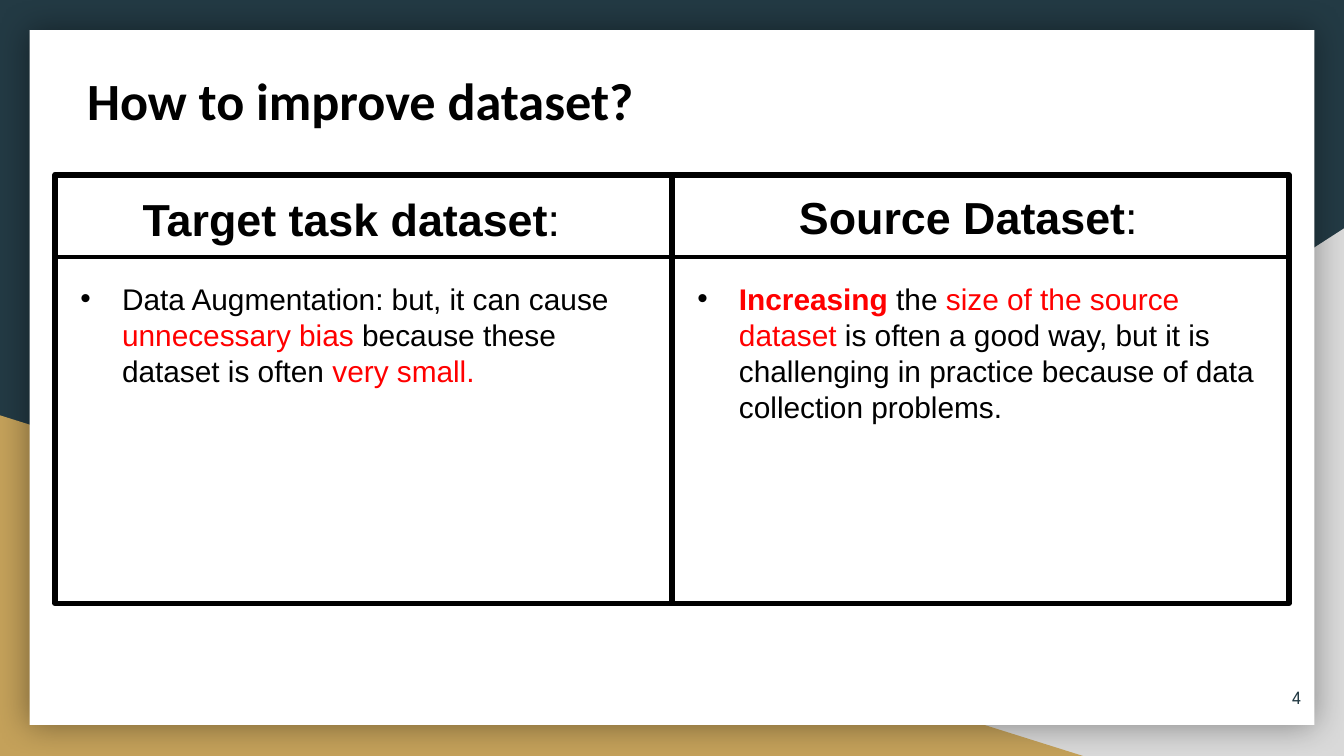
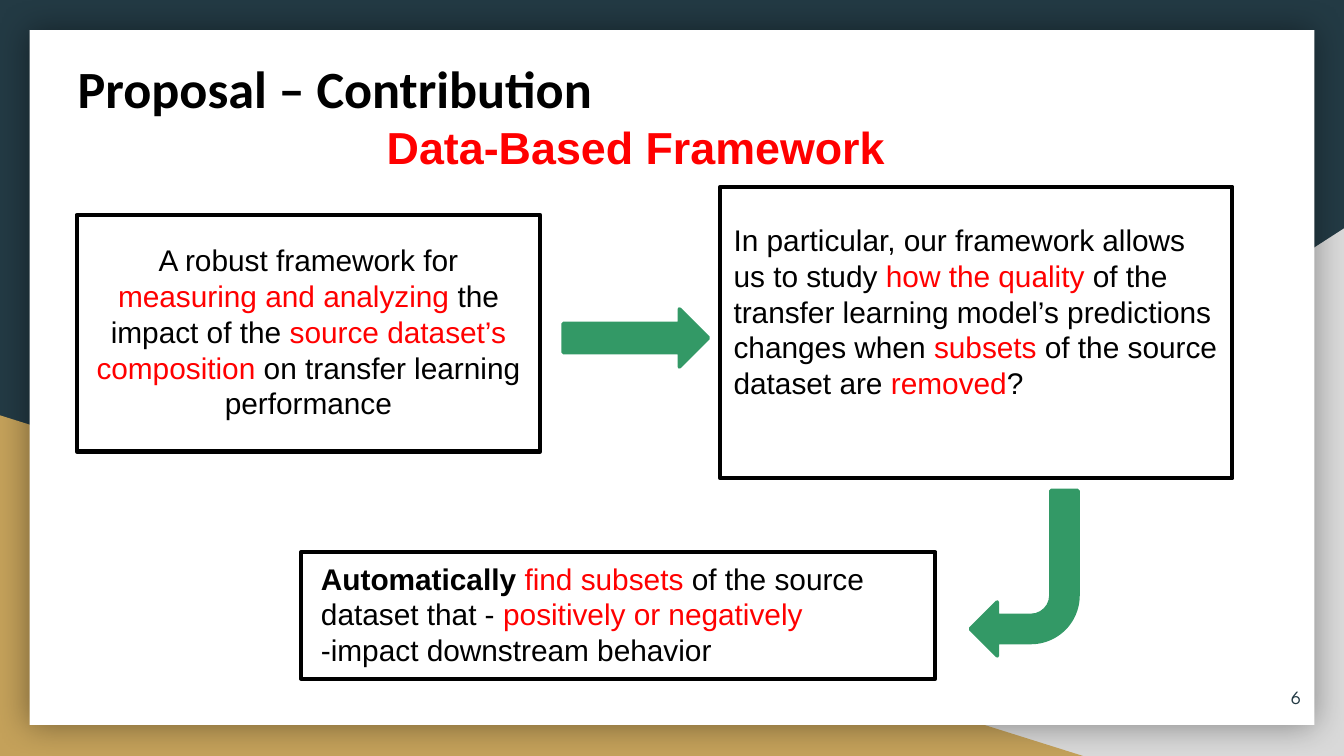
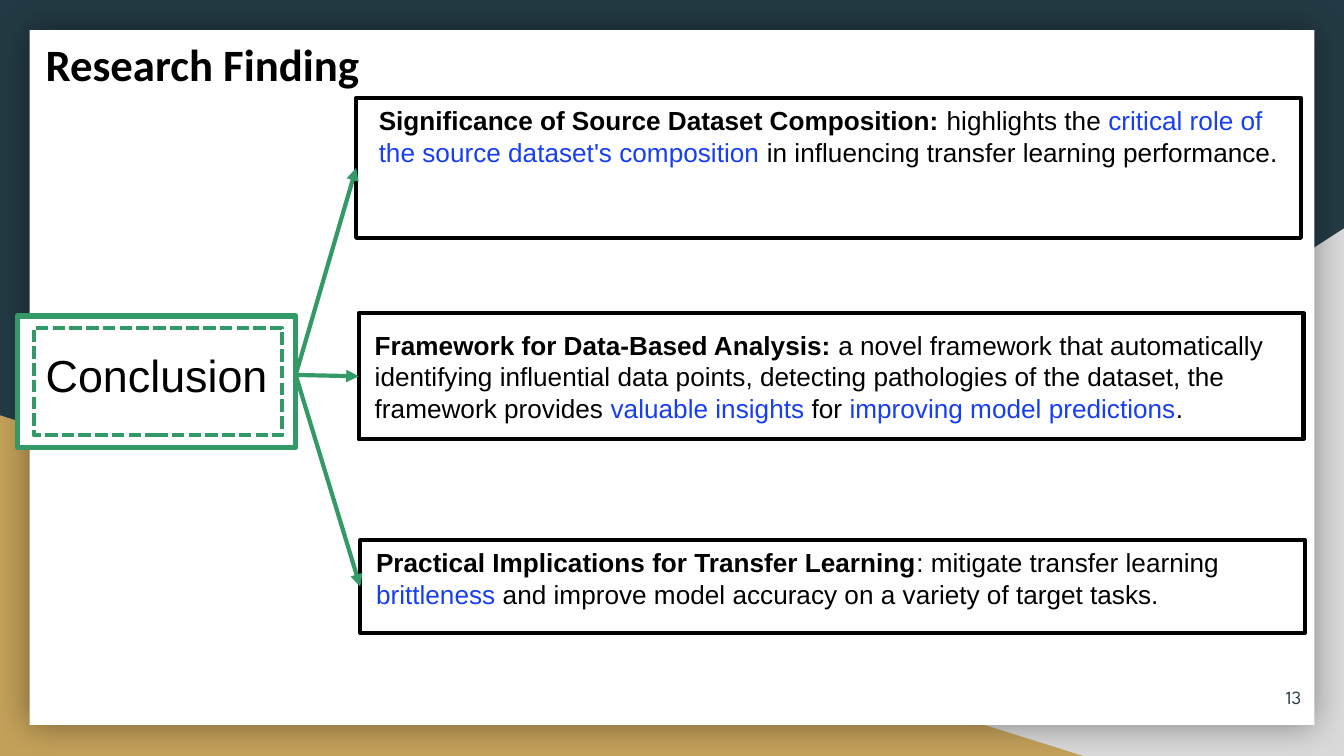
"""Build three slides on improving datasets for transfer learning."""
from dataclasses import dataclass

from lxml.etree import SubElement
from pptx import Presentation
from pptx.dml.color import RGBColor
from pptx.enum.dml import MSO_LINE
from pptx.enum.shapes import MSO_CONNECTOR, MSO_SHAPE
from pptx.enum.text import MSO_ANCHOR, MSO_AUTO_SIZE, PP_ALIGN
from pptx.oxml.ns import qn
from pptx.util import Emu, Inches, Pt


@dataclass(frozen=True)
class Theme:
    """Colours, fonts, type sizes and line widths of the deck."""
    navy: str = "233A44"
    gold: str = "C4A15A"
    grey: str = "D9D9D9"
    paper: str = "FFFFFF"
    ink: str = "000000"
    red: str = "FF0000"
    blue: str = "163EF5"
    green: str = "339966"
    body_font: str = "Arial"
    title_font: str = "Calibri"
    number_font: str = "League Spartan"
    title: int = 28
    heading: int = 24
    body: int = 16
    finding: int = 14
    number: int = 10
    thick: float = 3
    medium: float = 2.25
    thin: float = 2


@dataclass(frozen=True)
class Run:
    """A piece of text with its own colour and weight."""
    text: str
    color: str = Theme.ink
    bold: bool = False


WIDTH, HEIGHT = Inches(10), Inches(5.625)
COLUMNS = 100
CELL = WIDTH / COLUMNS
LEFT, CENTER, RIGHT = PP_ALIGN.LEFT, PP_ALIGN.CENTER, PP_ALIGN.RIGHT


def red(text, bold=False):
    """Return a run in the warning colour."""
    return Run(text, Theme.red, bold)


def blue(text):
    """Return a run in the highlight colour."""
    return Run(text, Theme.blue)


def strong(text):
    """Return a bold run."""
    return Run(text, bold=True)


def rgb(color):
    """Turn a hex string into a colour."""
    return RGBColor.from_string(color)


def place(*cells):
    """Turn grid columns and rows into lengths."""
    return [Emu(round(cell * CELL)) for cell in cells]


def add_block(shapes, area, kind=MSO_SHAPE.RECTANGLE, fill=Theme.paper,
              line=None, width=Theme.medium):
    """Add a filled preset shape with an optional outline."""
    block = shapes.add_shape(kind, *place(*area))
    block.shadow.inherit = False
    block.fill.solid()
    block.fill.fore_color.rgb = rgb(fill)
    if line:
        block.line.color.rgb = rgb(line)
        block.line.width = Pt(width)
    else:
        block.line.fill.background()
    return block


def add_bullet(properties):
    """Give a paragraph a hanging black bullet."""
    properties.set("marL", str(Inches(0.31)))
    properties.set("indent", str(-Inches(0.31)))
    color = SubElement(properties, qn("a:buClr"))
    SubElement(color, qn("a:srgbClr"), val=Theme.ink)
    SubElement(properties, qn("a:buFont"), typeface=Theme.body_font)
    SubElement(properties, qn("a:buChar"), char="•")


def add_text(shapes, area, *paragraphs, size=Theme.body, font=Theme.body_font,
             align=LEFT, bullet=False, grow=True):
    """Add a wrapping text box with one list of runs per paragraph."""
    label = shapes.add_textbox(*place(*area))
    frame = label.text_frame
    frame.word_wrap = True
    frame.auto_size = MSO_AUTO_SIZE.SHAPE_TO_FIT_TEXT if grow else MSO_AUTO_SIZE.NONE
    for index, runs in enumerate(paragraphs):
        paragraph = frame.add_paragraph() if index else frame.paragraphs[0]
        paragraph.alignment = align
        if bullet:
            add_bullet(paragraph._p.get_or_add_pPr())
        base = runs[0] if len(runs) == 1 else Run("")
        paragraph.font.name = font
        paragraph.font.size = Pt(size)
        paragraph.font.color.rgb = rgb(base.color)
        paragraph.font.bold = base.bold
        for part in runs:
            run = paragraph.add_run()
            run.text = part.text
            if part.color != base.color:
                run.font.color.rgb = rgb(part.color)
            if part.bold != base.bold:
                run.font.bold = part.bold
    return label


def add_line(shapes, start, end, color, arrow=False):
    """Add a straight line, with an arrowhead at its end if asked."""
    line = shapes.add_connector(MSO_CONNECTOR.STRAIGHT, *place(*start, *end))
    line.line.color.rgb = rgb(color)
    line.line.width = Pt(Theme.medium)
    if arrow:
        SubElement(line.line._get_or_add_ln(), qn("a:tailEnd"), type="triangle")
    SubElement(line._element.spPr, qn("a:effectLst"))
    return line


def add_soft_shadow(block):
    """Put an even blurred shadow around a shape."""
    effects = block._element.spPr.find(qn("a:effectLst"))
    shadow = SubElement(effects, qn("a:outerShdw"), blurRad=str(Pt(18)),
                        dist="0", dir="0", algn="ctr", rotWithShape="0")
    color = SubElement(shadow, qn("a:srgbClr"), val=Theme.ink)
    SubElement(color, qn("a:alpha"), val="40000")


def add_page(deck, number, title, title_area, title_size=Theme.title):
    """Add a slide with the backdrop, title and number, and return its shapes."""
    slide = deck.slides.add_slide(deck.slide_layouts[6])
    slide.background.fill.solid()
    slide.background.fill.fore_color.rgb = rgb(Theme.navy)
    shapes = slide.shapes
    corner = add_block(shapes, (39.2, 17, 60.8, 39.25), MSO_SHAPE.RIGHT_TRIANGLE, Theme.grey)
    corner._element.spPr.xfrm.set("flipH", "1")
    add_block(shapes, (0, 30.9, 80.6, 25.35), MSO_SHAPE.RIGHT_TRIANGLE, Theme.gold)
    add_soft_shadow(add_block(shapes, (2.2, 2.25, 95.6, 51.7)))

    heading = add_text(shapes, title_area, [strong(title)], size=title_size,
                       font=Theme.title_font)
    heading.text_frame.paragraphs[0]._p.get_or_add_pPr().set("marL", str(Inches(0.14)))
    folio = add_text(shapes, (91.8, 49.7, 6, 4.3), [Run(str(number), Theme.navy)],
                     size=Theme.number, font=Theme.number_font, align=RIGHT, grow=False)
    folio.text_frame.vertical_anchor = MSO_ANCHOR.MIDDLE
    for label in (heading, folio):
        label.text_frame.margin_top = label.text_frame.margin_bottom = Inches(0.1)
    return shapes


def add_panel(shapes, frame_area, text_area, *paragraphs, align=LEFT):
    """Add a group of an outlined frame and its text."""
    panel = shapes.add_group_shape().shapes
    add_block(panel, frame_area, line=Theme.ink)
    add_text(panel, text_area, *paragraphs, align=align)


def add_dataset_slide(deck):
    """Compare ways to improve the target and the source dataset."""
    shapes = add_page(deck, 4, "How to improve dataset?", (4.1, 4.1, 45, 6.7))
    left, top, column = 4.1, 13, 45.9
    datasets = [
        ("Target task dataset", 13.8, 9.1,
         [Run("Data Augmentation: but, it can cause "), red("unnecessary bias"),
          Run(" because these dataset is often "), red("very small.")]),
        ("Source Dataset", 13.6, 11.8,
         [red("Increasing", bold=True), Run(" the "), red("size of the source dataset "),
          Run("is often a good way, but it is challenging in practice "
              "because of data collection problems.")]),
    ]
    for index, (name, name_top, advice_height, advice) in enumerate(datasets):
        x = left + index * column
        add_block(shapes, (x, top, column, 31.9), line=Theme.ink, width=Theme.thick)
        heading = add_text(shapes, (x, name_top, column, 5), [strong(name), Run(":")],
                           size=Theme.heading, align=CENTER)
        heading.text_frame.margin_right = Inches(0.28)
        add_text(shapes, (x + 0.9, 20.4, column - 1.8, advice_height), advice, bullet=True)
    add_line(shapes, (left, 19.1), (left + 2 * column, 19.1), Theme.ink)


def add_proposal_slide(deck):
    """Show the three steps of the framework."""
    shapes = add_page(deck, 6, "Proposal – Contribution", (3.4, 3.2, 46.6, 6.7))
    add_text(shapes, (25.1, 8.4, 44.4, 5), [red("Data-Based Framework", bold=True)],
             size=Theme.heading, align=CENTER)
    add_panel(shapes, (5.7, 16, 34.5, 17.6), (5.7, 17.5, 34.5, 14.5),
              [Run("A robust framework for "), red("measuring and analyzing "),
               Run("the impact of the "), red("source dataset’s composition"),
               Run(" on transfer learning performance")], align=CENTER)
    add_panel(shapes, (53.6, 13.9, 38.1, 21.7), (53.6, 16, 38.9, 14.5),
              [Run("In particular, our framework allows")],
              [Run("us to study "), red("how the quality"),
               Run(" of the transfer learning model’s predictions changes when "),
               red("subsets"), Run(" of the source dataset are "), red("removed"), Run("?")])
    add_panel(shapes, (22.4, 41.1, 47.2, 9.4), (22.9, 41.2, 44, 9.1),
              [strong("Automatically "), red("find subsets"),
               Run(" of the source dataset that - "), red("positively or negatively"),
               Run(" -impact downstream behavior")])
    add_block(shapes, (41.9, 23, 10.8, 4.3), MSO_SHAPE.RIGHT_ARROW,
              Theme.green, Theme.green, Theme.thin)
    turn = add_block(shapes, (72.2, 36.5, 8, 12.3), MSO_SHAPE.BENT_ARROW,
                     Theme.green, Theme.green, Theme.thin)
    turn.rotation = 180


def add_finding_slide(deck):
    """Link the conclusion to its three findings."""
    shapes = add_page(deck, 13, "Research Finding", (1, 1.7, 41.5, 6.1), Theme.heading)
    findings = [
        ((26.5, 7.3, 70.3, 10.4), (27.2, 7.3, 69.7, 5.7),
         [strong("Significance of Source Dataset Composition: "), Run("highlights the "),
          blue("critical role of the source dataset's composition"),
          Run(" in influencing transfer learning performance.")]),
        ((26.7, 23.3, 70.3, 9.4), (26.9, 24, 69.7, 8.1),
         [strong("Framework for Data-Based Analysis: "),
          Run("a novel framework that automatically identifying influential data points, "
              "detecting pathologies of the dataset, the framework provides "),
          blue("valuable insights"), Run(" for "), blue("improving model predictions"),
          Run(".")]),
        ((26.8, 40.2, 70.3, 6.9), (27, 40.2, 69.7, 5.7),
         [strong("Practical Implications for Transfer Learning"),
          Run(": mitigate transfer learning "), blue("brittleness"),
          Run(" and improve model accuracy on a variety of target tasks.")]),
    ]
    add_block(shapes, (1.3, 23.5, 20.7, 9.8), line=Theme.green, width=Theme.thick)
    dashes = add_block(shapes, (2.5, 24.4, 18.5, 8), line=Theme.green)
    dashes.line.dash_style = MSO_LINE.SQUARE_DOT
    conclusion = add_text(shapes, (1.3, 25.4, 20.7, 5), [Run("Conclusion")],
                          size=Theme.heading, align=CENTER)
    for frame_area, text_area, finding in findings:
        frame = add_block(shapes, frame_area, line=Theme.ink)
        add_text(shapes, text_area, finding, size=Theme.finding)
        link = add_line(shapes, (22, 27.9), frame_area[:2], Theme.green, arrow=True)
        link.begin_connect(conclusion, 3)
        link.end_connect(frame, 1)


def main():
    """Build the deck and save it."""
    deck = Presentation()
    deck.slide_width, deck.slide_height = WIDTH, HEIGHT
    add_dataset_slide(deck)
    add_proposal_slide(deck)
    add_finding_slide(deck)
    deck.save("out.pptx")


if __name__ == "__main__":
    main()
